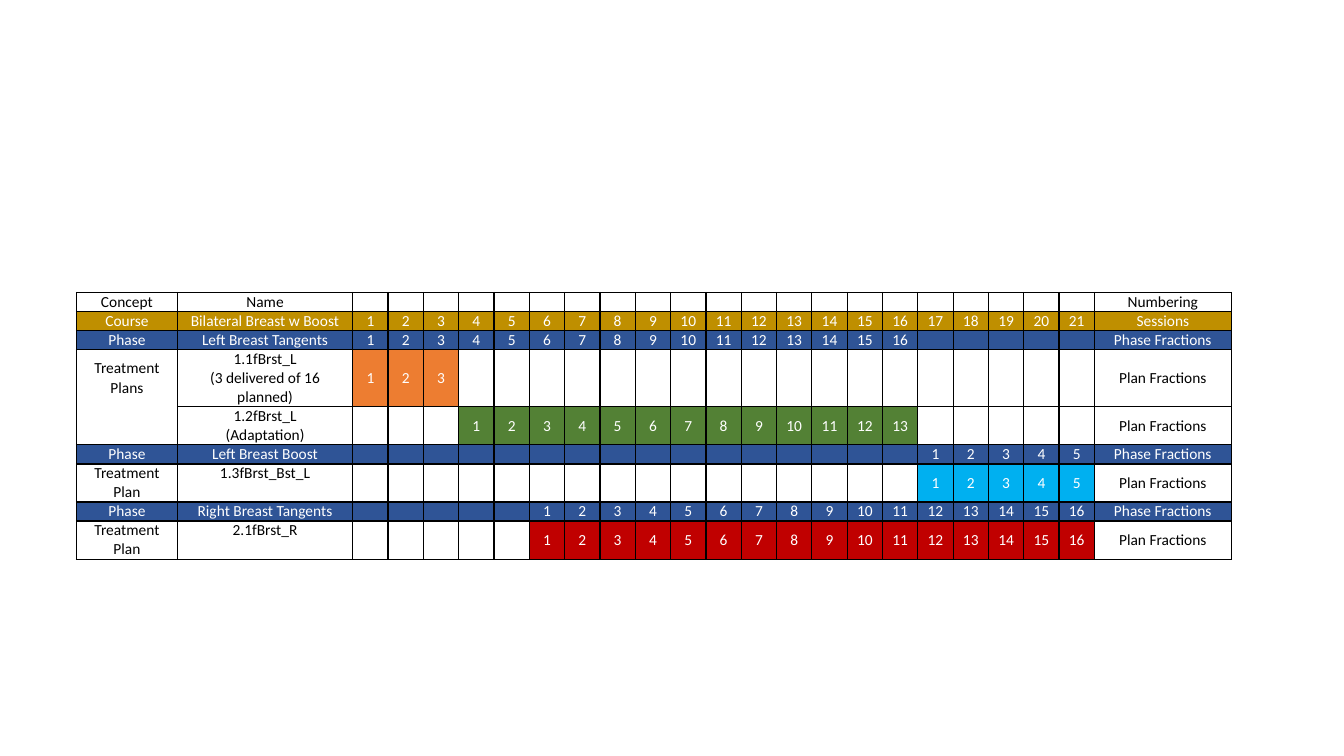
import dataclasses

import lxml.etree
import pptx
import pptx.dml.color
import pptx.enum.text
import pptx.oxml.ns
import pptx.util

Cm = pptx.util.Cm
Pt = pptx.util.Pt
Anchor = pptx.enum.text.MSO_ANCHOR


@dataclasses.dataclass(frozen=True)
class Theme:
    font: str = "Calibri"
    size: int = 11
    border_width: int = 1
    dark: str = "000000"
    light: str = "FFFFFF"
    course: str = "BF8F00"
    phase: str = "2F5496"
    first_plan: str = "ED7D31"
    adapted_plan: str = "538135"
    boost_plan: str = "00B0F0"
    right_plan: str = "C00000"


@dataclasses.dataclass(frozen=True)
class Row:
    concept: str
    name: str
    numbering: str
    lines: int = 1          # height in text lines
    start: int = 1          # session in which the fractions begin
    count: int = 0          # number of fractions
    row_fill: str = ""      # colour of the whole row
    bar_fill: str = ""      # colour of the numbered cells only
    name_anchor: Anchor = Anchor.MIDDLE
    open_sides: str = ""    # concept cell sides without a border


THEME = Theme()
SESSIONS = 21
LINE_HEIGHT = 0.48
CONCEPT_WIDTH, NAME_WIDTH, SESSION_WIDTH, NUMBERING_WIDTH = 2.54, 4.42, 0.89, 3.45

ROWS = [
    Row("Concept", "Name", "Numbering"),
    Row("Course", "Bilateral Breast w Boost", "Sessions",
        count=21, row_fill=THEME.course),
    Row("Phase", "Left Breast Tangents", "Phase Fractions",
        count=16, row_fill=THEME.phase),
    Row("Treatment Plans", "1.1fBrst_L\n(3 delivered of 16 planned)", "Plan Fractions",
        lines=3, count=3, bar_fill=THEME.first_plan, open_sides="B"),
    Row("", "1.2fBrst_L\n(Adaptation)", "Plan Fractions",
        lines=2, start=4, count=13, bar_fill=THEME.adapted_plan, open_sides="T"),
    Row("Phase", "Left Breast Boost", "Phase Fractions",
        start=17, count=5, row_fill=THEME.phase),
    Row("Treatment Plan", "1.3fBrst_Bst_L", "Plan Fractions",
        lines=2, start=17, count=5, bar_fill=THEME.boost_plan, name_anchor=Anchor.TOP),
    Row("Phase", "Right Breast Tangents", "Phase Fractions",
        start=6, count=16, row_fill=THEME.phase),
    Row("Treatment Plan", "2.1fBrst_R", "Plan Fractions",
        lines=2, start=6, count=16, bar_fill=THEME.right_plan, name_anchor=Anchor.TOP),
]


def add_child(parent, tag, **attributes):
    return lxml.etree.SubElement(parent, pptx.oxml.ns.qn(tag), **attributes)


def write_text(frame, text, color=THEME.dark, size=THEME.size, font=THEME.font):
    """Fill a frame with centred paragraphs, one for each line of text."""
    for index, line in enumerate(text.split("\n")):
        para = frame.paragraphs[0] if index == 0 else frame.add_paragraph()
        para.alignment = pptx.enum.text.PP_ALIGN.CENTER
        if line:
            span = para.add_run()
            span.text = line
            span.font.name = font
            span.font.size = Pt(size)
            span.font.color.rgb = pptx.dml.color.RGBColor.from_string(color)
        else:
            # Keeps an empty cell as low as a filled one
            add_child(para._p, "a:endParaRPr", sz=str(size * 100))


def draw_borders(cell, open_sides=""):
    properties = cell._tc.get_or_add_tcPr()
    for side in "LRTB":
        line = add_child(properties, f"a:ln{side}", w=str(Pt(THEME.border_width)))
        if side in open_sides:
            add_child(line, "a:noFill")
        else:
            fill = add_child(line, "a:solidFill")
            add_child(fill, "a:srgbClr", val=THEME.dark)


def format_cell(cell, text, fill="", anchor=Anchor.MIDDLE, open_sides=""):
    draw_borders(cell, open_sides)
    if fill:
        cell.fill.solid()
        cell.fill.fore_color.rgb = pptx.dml.color.RGBColor.from_string(fill)
    else:
        cell.fill.background()
    cell.margin_left = cell.margin_right = Cm(0.17)
    cell.margin_top = cell.margin_bottom = 0
    cell.vertical_anchor = anchor
    write_text(cell.text_frame, text, color=THEME.light if fill else THEME.dark)


def fill_row(cells, row):
    """Write the labels and the numbered fractions of one row."""
    concept, name, *sessions, numbering = cells
    format_cell(concept, row.concept, row.row_fill, open_sides=row.open_sides)
    format_cell(name, row.name, row.row_fill, anchor=row.name_anchor)
    for session, cell in enumerate(sessions, start=1):
        fraction = session - row.start + 1
        if 1 <= fraction <= row.count:
            format_cell(cell, str(fraction), row.bar_fill or row.row_fill)
        else:
            format_cell(cell, "", row.row_fill)
    format_cell(numbering, row.numbering, row.row_fill)


def add_schedule(page, left, top):
    """Place the treatment schedule with its top left corner at the given point."""
    widths = [CONCEPT_WIDTH, NAME_WIDTH, *[SESSION_WIDTH] * SESSIONS, NUMBERING_WIDTH]
    heights = [row.lines * LINE_HEIGHT for row in ROWS]
    box = page.shapes.add_table(len(heights), len(widths), Cm(left), Cm(top),
                                Cm(sum(widths)), Cm(sum(heights)))
    table = box.table
    table.first_row = table.horz_banding = False
    for column, width in zip(table.columns, widths):
        column.width = Cm(width)
    for table_row, height, row in zip(table.rows, heights, ROWS):
        table_row.height = Cm(height)
        fill_row(table_row.cells, row)


def main():
    deck = pptx.Presentation()
    deck.slide_width, deck.slide_height = Cm(33.87), Cm(19.05)
    page = deck.slides.add_slide(deck.slide_layouts[6])
    add_schedule(page, left=1.93, top=7.37)
    deck.save("out.pptx")


if __name__ == "__main__":
    main()
